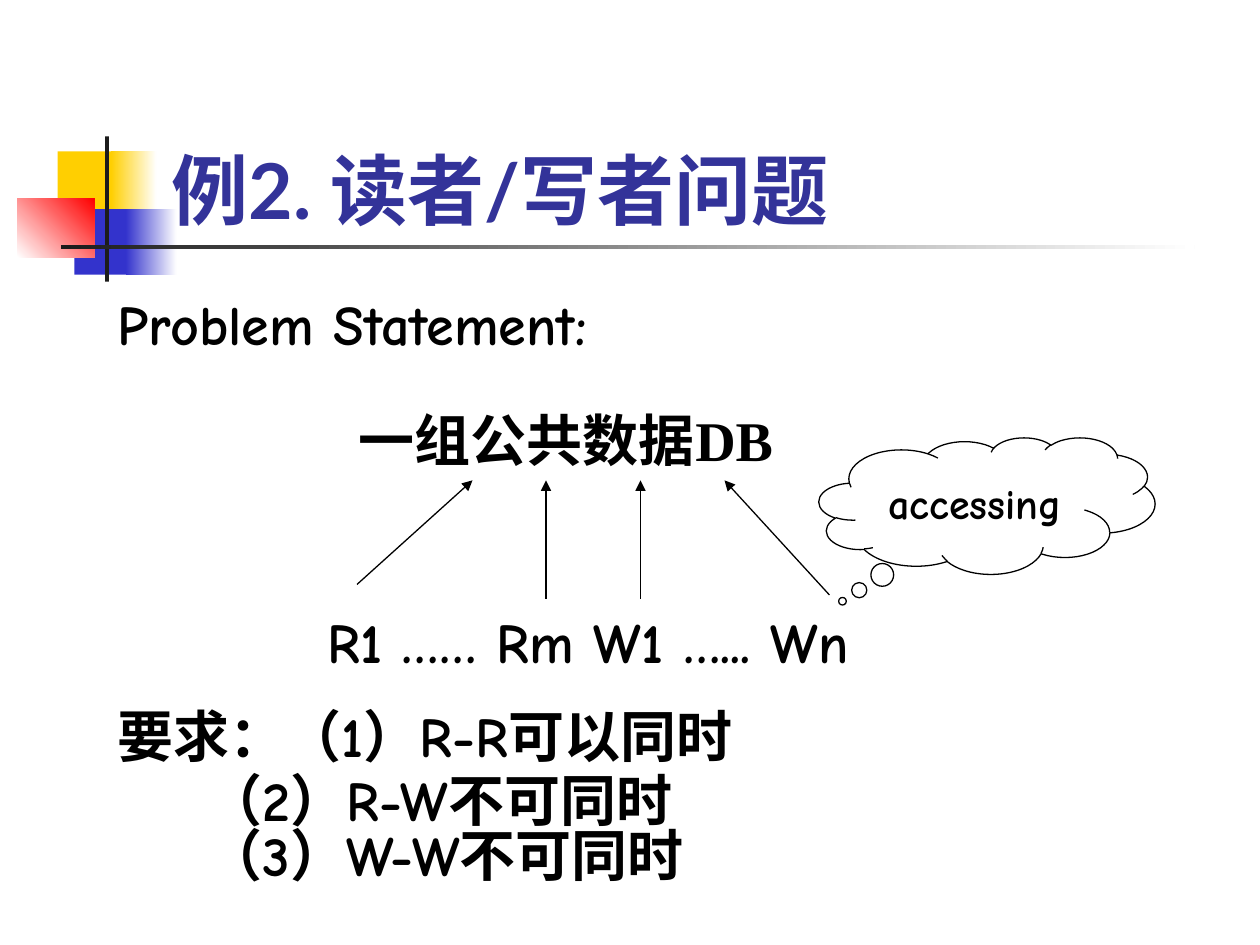
from dataclasses import dataclass
from typing import Optional

import pptx
import pptx.dml.color
import pptx.enum.shapes
import pptx.enum.text
import pptx.oxml.ns
import pptx.util
from lxml import etree

Pt = pptx.util.Pt
RGB = pptx.dml.color.RGBColor.from_string
Shapes = pptx.enum.shapes.MSO_SHAPE
Anchor = pptx.enum.text.MSO_ANCHOR
qn = pptx.oxml.ns.qn


@dataclass(frozen=True)
class Theme:
    yellow: str = "FFCF01"
    blue: str = "3333CC"
    red: str = "FF0000"
    dark: str = "1C1C1C"
    white: str = "FFFFFF"
    title: str = "333399"
    ink: str = "000000"
    title_font: str = "Lato"
    body_font: str = "Comic Neue"
    serif_font: str = "Times New Roman"
    title_size: float = 44
    body_size: float = 32
    callout_size: float = 24
    line_width: float = 0.75


THEME = Theme()


@dataclass(frozen=True)
class Block:
    left: float
    top: float
    width: float
    height: float
    color: str
    fade_to: Optional[str] = None
    angle: float = 0


@dataclass(frozen=True)
class Line:
    spans: tuple[tuple[str, str], ...]  # (text, font name)
    indent: float = 0
    before: float = 20
    spacing: float = 1.0


@dataclass(frozen=True)
class Arrow:
    start: tuple[float, float]
    end: tuple[float, float]


BLOCKS = (
    Block(33, 86.5, 35, 37.5, THEME.yellow),
    Block(63.5, 86.5, 26, 37.5, THEME.yellow, THEME.white),
    Block(42.5, 119.5, 33, 37.5, THEME.blue),
    Block(72, 119.5, 29, 37.5, THEME.blue, THEME.white),
    Block(10, 113.5, 44, 33.5, THEME.white, THEME.red, 45),
    Block(60, 78, 2.25, 83, THEME.dark),
    Block(34.75, 140, 648, 2.5, THEME.dark, THEME.white),
)

LINES = (
    Line((("Problem Statement:", THEME.body_font),), before=0),
    Line((("一组公共数据DB", THEME.serif_font),), indent=138, spacing=1.2),
    Line((("R1 …… Rm W1 …... Wn", THEME.body_font),), indent=120, before=77),
    Line((("要求", THEME.serif_font), ("：（1）R-R可以同时", THEME.body_font)), spacing=0.9),
    Line((("（2）R-W不可同时", THEME.body_font),), indent=51, spacing=0.3),
    Line((("（3）W-W不可同时", THEME.body_font),), indent=51, spacing=0.3),
)

ARROW_TIP = 274.5
ARROWS = (
    Arrow((204, 334), (270, ARROW_TIP)),
    Arrow((312, 342), (312, ARROW_TIP)),
    Arrow((366, 342), (366, ARROW_TIP)),
    Arrow((474, 340), (414, ARROW_TIP)),
)


def style_font(font, name: str, size: float, color: str) -> None:
    font.name = name
    font.size = Pt(size)
    font.bold = True
    font.color.rgb = RGB(color)


def draw_block(page, block: Block) -> None:
    shape = page.shapes.add_shape(
        Shapes.RECTANGLE, Pt(block.left), Pt(block.top), Pt(block.width), Pt(block.height))
    shape.shadow.inherit = False
    shape.line.fill.background()
    if block.fade_to is None:
        shape.fill.solid()
        shape.fill.fore_color.rgb = RGB(block.color)
        return
    shape.fill.gradient()
    shape.fill.gradient_angle = block.angle
    for stop, color in zip(shape.fill.gradient_stops, (block.color, block.fade_to)):
        stop.color.rgb = RGB(color)


def draw_title(page, text: str) -> None:
    box = page.shapes.add_textbox(Pt(91), Pt(48), Pt(613), Pt(90))
    frame = box.text_frame
    frame.word_wrap = True
    frame.vertical_anchor = Anchor.BOTTOM
    para = frame.paragraphs[0]
    para.text = text
    style_font(para.font, THEME.title_font, THEME.title_size, THEME.title)


def draw_body(page, lines: tuple[Line, ...]) -> None:
    box = page.shapes.add_textbox(Pt(60), Pt(162), Pt(612), Pt(346))
    frame = box.text_frame
    frame.word_wrap = True
    frame.auto_size = pptx.enum.text.MSO_AUTO_SIZE.SHAPE_TO_FIT_TEXT
    for index, line in enumerate(lines):
        para = frame.add_paragraph() if index else frame.paragraphs[0]
        para.space_before = Pt(line.before)
        para.line_spacing = line.spacing
        if line.indent:
            properties = para._p.get_or_add_pPr()
            properties.set("marL", str(Pt(line.indent)))
            properties.set("indent", "0")
        style_font(para.font, line.spans[0][1], THEME.body_size, THEME.ink)
        for text, font_name in line.spans:
            span = para.add_run()
            span.text = text
            if len(line.spans) > 1:
                span.font.name = font_name


def draw_arrow(page, arrow: Arrow) -> None:
    connector = page.shapes.add_connector(
        pptx.enum.shapes.MSO_CONNECTOR.STRAIGHT,
        *(Pt(value) for value in arrow.start + arrow.end))
    connector.line.color.rgb = RGB(THEME.ink)
    connector.line.width = Pt(THEME.line_width)
    etree.SubElement(connector.line._get_or_add_ln(), qn("a:tailEnd"), type="triangle")
    etree.SubElement(connector._element.spPr, qn("a:effectLst"))


def draw_callout(page, text: str) -> None:
    cloud = page.shapes.add_shape(Shapes.CLOUD_CALLOUT, Pt(468), Pt(250), Pt(192), Pt(78))
    cloud.adjustments[0] = -0.43
    cloud.adjustments[1] = 0.7
    cloud.shadow.inherit = False
    cloud.fill.background()
    cloud.line.color.rgb = RGB(THEME.ink)
    cloud.line.width = Pt(THEME.line_width)
    frame = cloud.text_frame
    frame.word_wrap = False
    frame.vertical_anchor = Anchor.MIDDLE
    para = frame.paragraphs[0]
    para.text = text
    para.alignment = pptx.enum.text.PP_ALIGN.CENTER
    style_font(para.font, THEME.body_font, THEME.callout_size, THEME.ink)


def main() -> None:
    deck = pptx.Presentation()
    deck.slide_width, deck.slide_height = Pt(720), Pt(540)
    page = deck.slides.add_slide(deck.slide_layouts[6])
    for block in BLOCKS:
        draw_block(page, block)
    draw_title(page, "例2. 读者/写者问题")
    draw_body(page, LINES)
    for arrow in ARROWS:
        draw_arrow(page, arrow)
    draw_callout(page, "accessing")
    deck.save("out.pptx")


if __name__ == "__main__":
    main()
